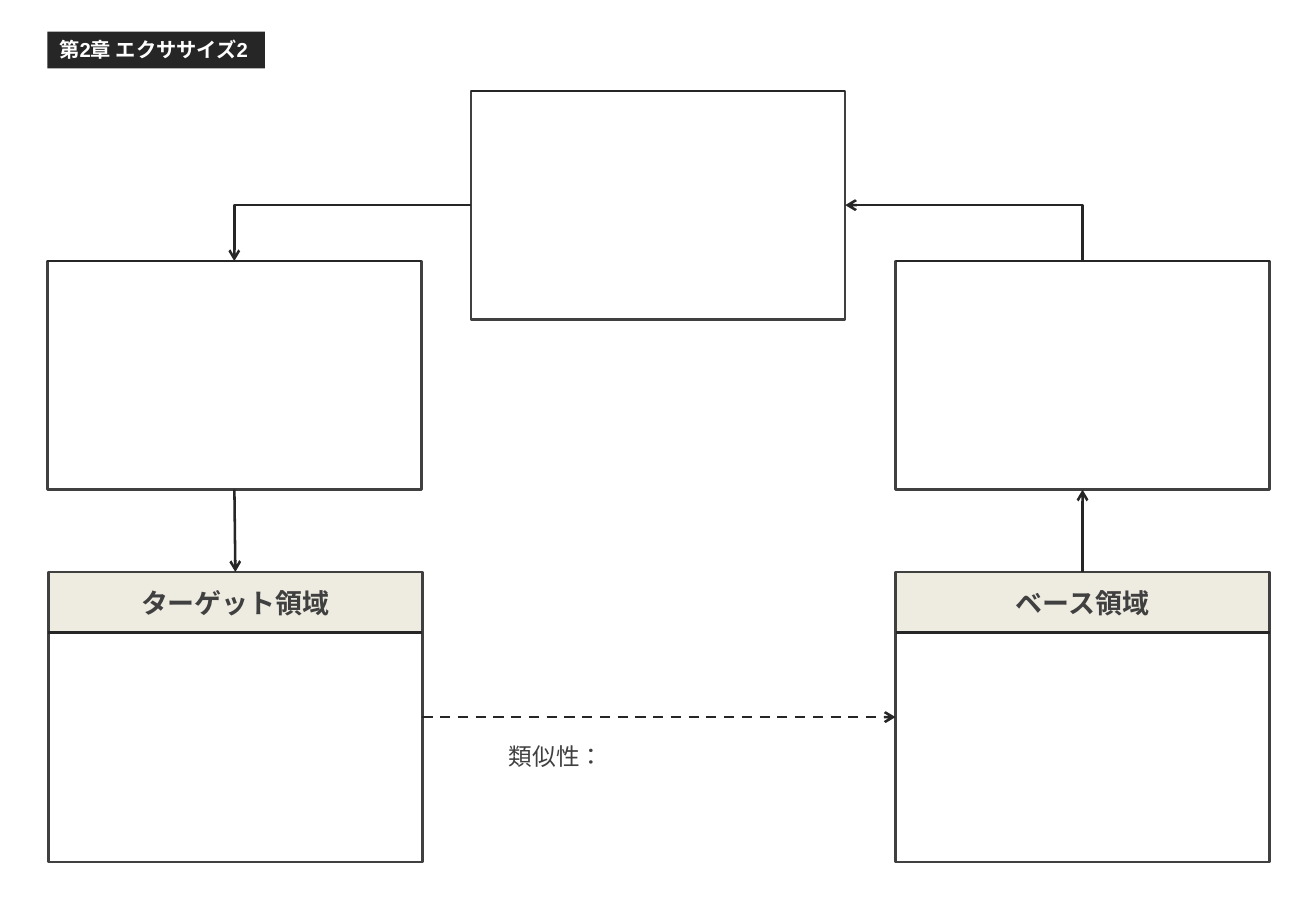
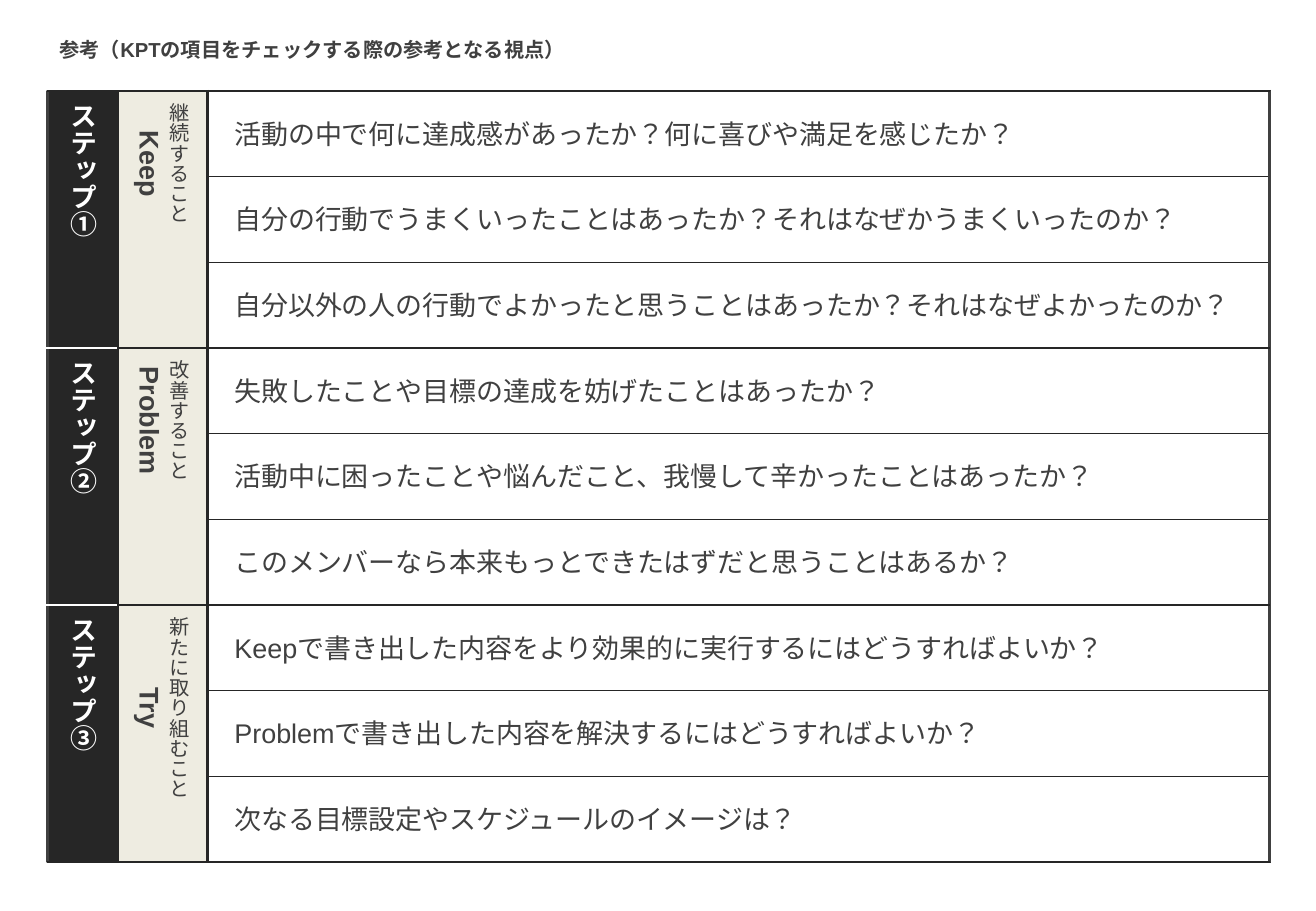
import pptx
import pptx.dml.color
import pptx.enum.dml
import pptx.enum.lang
import pptx.enum.shapes
import pptx.enum.text
import pptx.oxml
import pptx.oxml.ns
import pptx.util
import lxml.etree

Cm, Pt = pptx.util.Cm, pptx.util.Pt
ALIGN = pptx.enum.text.PP_ALIGN
ANCHOR = pptx.enum.text.MSO_ANCHOR
AUTO = pptx.enum.text.MSO_AUTO_SIZE
CONNECTOR = pptx.enum.shapes.MSO_CONNECTOR
DARK, GREY, BEIGE, WHITE = "262626", "404040", "EEECE1", "FFFFFF"
TOP, LEFT, BOTTOM, RIGHT = range(4)  # connection sites of a rectangle


def rgb(hex_color):
    return pptx.dml.color.RGBColor.from_string(hex_color)


def sub(parent, tag, **attrs):
    """Append a DrawingML element such as a:ln."""
    return lxml.etree.SubElement(parent, pptx.oxml.ns.qn(tag), attrs)


def write(tf, text, size=16, color=GREY, bold=False, align=ALIGN.LEFT):
    """Fill the empty first paragraph, or add a paragraph after the text."""
    p = tf.add_paragraph() if tf.text else tf.paragraphs[0]
    p.alignment = align
    r = p.add_run()
    r.text = text
    r.font.name = "Arial"
    r.font.language_id = pptx.enum.lang.MSO_LANGUAGE_ID.JAPANESE
    r.font.size = Pt(size)
    r.font.bold = bold
    r.font.color.rgb = rgb(color)


class Deck:
    line_width = 1.5

    def __init__(self, width, height):
        self.prs = pptx.Presentation()
        self.prs.slide_width, self.prs.slide_height = Cm(width), Cm(height)
        self.s = None

    def slide(self, title, width, fill=None, color=GREY):
        self.s = self.prs.slides.add_slide(self.prs.slide_layouts[5])
        sp = self.s.shapes.title
        sp.left, sp.top, sp.width, sp.height = Cm(0.99), Cm(0.66), Cm(width), Cm(0.77)
        if fill:
            sp.fill.solid()
            sp.fill.fore_color.rgb = rgb(fill)
        tf = sp.text_frame
        tf.word_wrap, tf.auto_size = True, AUTO.NONE
        tf.vertical_anchor = ANCHOR.TOP
        write(tf, title, size=12, color=color, bold=True)

    def rect(self, x, y, w, h, fill=None, line=None):
        sp = self.s.shapes.add_shape(pptx.enum.shapes.MSO_SHAPE.RECTANGLE,
                                     Cm(x), Cm(y), Cm(w), Cm(h))
        sp.shadow.inherit = False
        if fill:
            sp.fill.solid()
            sp.fill.fore_color.rgb = rgb(fill)
        else:
            sp.fill.background()
        if line:
            sp.line.color.rgb = rgb(line)
            sp.line.width = Pt(self.line_width)
        else:
            sp.line.fill.background()
        return sp

    def text(self, x, y, w, h, *lines, vertical=False):
        """Text box; each line is a pair of text and format."""
        tf = self.s.shapes.add_textbox(Cm(x), Cm(y), Cm(w), Cm(h)).text_frame
        tf.word_wrap, tf.auto_size = True, AUTO.SHAPE_TO_FIT_TEXT
        if vertical:
            tf.vertical_anchor = ANCHOR.MIDDLE
            tf._txBody.bodyPr.set("vert", "eaVert")
        for text, style in lines:
            write(tf, text, **style)

    def line(self, x1, y1, x2, y2, color=DARK, kind=CONNECTOR.STRAIGHT):
        c = self.s.shapes.add_connector(kind, Cm(x1), Cm(y1), Cm(x2), Cm(y2))
        c.line.color.rgb = rgb(color)
        c.line.width = Pt(self.line_width)
        sub(c._element.spPr, "a:effectLst")
        return c

    def arrow(self, start, start_site, end, end_site, bent=False, dash=False, tip="a:tailEnd"):
        """Arrow glued to two shapes; a:headEnd puts the tip at the start."""
        c = self.line(0, 0, 1, 1, kind=CONNECTOR.ELBOW if bent else CONNECTOR.STRAIGHT)
        c.begin_connect(start, start_site)
        c.end_connect(end, end_site)
        if bent:
            c._element.spPr.prstGeom.set("prst", "bentConnector2")
        if dash:
            c.line.dash_style = pptx.enum.dml.MSO_LINE.DASH
        sub(c.line._get_or_add_ln(), tip, type="arrow")

    def box(self, x, y, w, h, heading=None):
        """Outlined box with a dark rule on top or below its heading."""
        rule = y
        if heading:
            rule += 1.27
            tf = self.rect(x, y, w, 1.27, fill=BEIGE).text_frame
            tf.vertical_anchor = ANCHOR.MIDDLE
            write(tf, heading, bold=True, align=ALIGN.CENTER)
        sp = self.rect(x, y, w, h, line=GREY)
        self.line(x, rule, x + w, rule)
        return sp

    def table(self, x, y, w, h, rows, group):
        """One-column table with a heavier rule after each group of rows."""
        table = self.s.shapes.add_table(len(rows), 1, Cm(x), Cm(y), Cm(w), Cm(h)).table
        table.first_row = table.horz_banding = False
        for i, text in enumerate(rows):
            cell = table.cell(i, 0)
            cell.margin_left, cell.margin_right = Cm(0.56), Cm(0.3)
            cell.margin_top, cell.margin_bottom = Cm(0.1), Cm(0.16)
            cell.vertical_anchor = ANCHOR.MIDDLE
            write(cell.text_frame, text, align=ALIGN.JUSTIFY)
            widths = {"L": 1.5, "R": 1.5, "T": 0.75 if i % group else 1.5,
                      "B": 0.75 if (i + 1) % group else 1.5}
            for side, width in widths.items():
                ln = sub(cell._tc.get_or_add_tcPr(), "a:ln" + side, w=str(Pt(width)))
                sub(sub(ln, "a:solidFill"), "a:srgbClr", val=DARK)
            cell.fill.background()


def analogy_slide(deck):
    deck.slide("第2章 エクササイズ2", 4.55, fill=DARK, color=WHITE)
    left, middle, right, w, h = 0.99, 9.85, 18.72, 7.82, 4.78
    target = deck.box(1.01, 11.96, w, 6.07, "ターゲット領域")
    base = deck.box(right, 11.96, w, 6.07, "ベース領域")
    top = deck.box(middle, 1.9, w, h)
    above_base = deck.box(right, 5.46, w, h)
    above_target = deck.box(left, 5.46, w, h)
    deck.arrow(top, RIGHT, above_base, TOP, bent=True, tip="a:headEnd")
    deck.arrow(top, LEFT, above_target, TOP, bent=True)
    deck.arrow(base, TOP, above_base, BOTTOM)
    deck.arrow(above_target, BOTTOM, target, TOP)
    deck.arrow(target, RIGHT, base, LEFT, dash=True)
    deck.text(10.39, 15.38, 6.81, 0.86, ("類似性：", dict(size=14)))


def kpt_slide(deck):
    steps = [
        ("ステップ①", "継続すること", "Keep", [
            "活動の中で何に達成感があったか？何に喜びや満足を感じたか？",
            "自分の行動でうまくいったことはあったか？それはなぜかうまくいったのか？",
            "自分以外の人の行動でよかったと思うことはあったか？それはなぜよかったのか？"]),
        ("ステップ②", "改善すること", "Problem", [
            "失敗したことや目標の達成を妨げたことはあったか？",
            "活動中に困ったことや悩んだこと、我慢して辛かったことはあったか？",
            "このメンバーなら本来もっとできたはずだと思うことはあるか？"]),
        ("ステップ③", "新たに取り組むこと", "Try", [
            "Keepで書き出した内容をより効果的に実行するにはどうすればよいか？",
            "Problemで書き出した内容を解決するにはどうすればよいか？",
            "次なる目標設定やスケジュールのイメージは？"]),
    ]
    deck.slide("参考（KPTの項目をチェックする際の参考となる視点）", 11.23)
    left, label_x, table_x, right = 0.99, 2.46, 4.34, 26.54
    top, height = 1.9, 16.13
    step_h = height / len(steps)
    deck.rect(label_x, top, table_x - label_x, height, fill=BEIGE)
    deck.rect(left, top, label_x - left, height, fill=DARK)
    for x in (label_x, table_x):
        deck.line(x, top, x, top + height)
    questions = [q for step in steps for q in step[3]]
    deck.table(table_x, top, right - table_x, height, questions, group=3)
    deck.rect(left, top, right - left, height, line=GREY)
    for i in range(len(steps) + 1):
        deck.line(left, top + i * step_h, right, top + i * step_h)
    for i, (step, meaning, name, _) in enumerate(steps):
        y = top + i * step_h
        deck.text(1.14, y, 1.19, step_h,
                  (step, dict(color=WHITE, bold=True, align=ALIGN.CENTER)), vertical=True)
        deck.text(2.55, y, 1.7, step_h,
                  (meaning, dict(size=12, align=ALIGN.CENTER)),
                  (name, dict(bold=True, align=ALIGN.CENTER)), vertical=True)
        if i:
            deck.line(left - 0.02, y, label_x - 0.02, y, color=WHITE)


def main():
    deck = Deck(27.51, 19.05)
    analogy_slide(deck)
    kpt_slide(deck)
    deck.prs.save("out.pptx")


if __name__ == "__main__":
    main()
